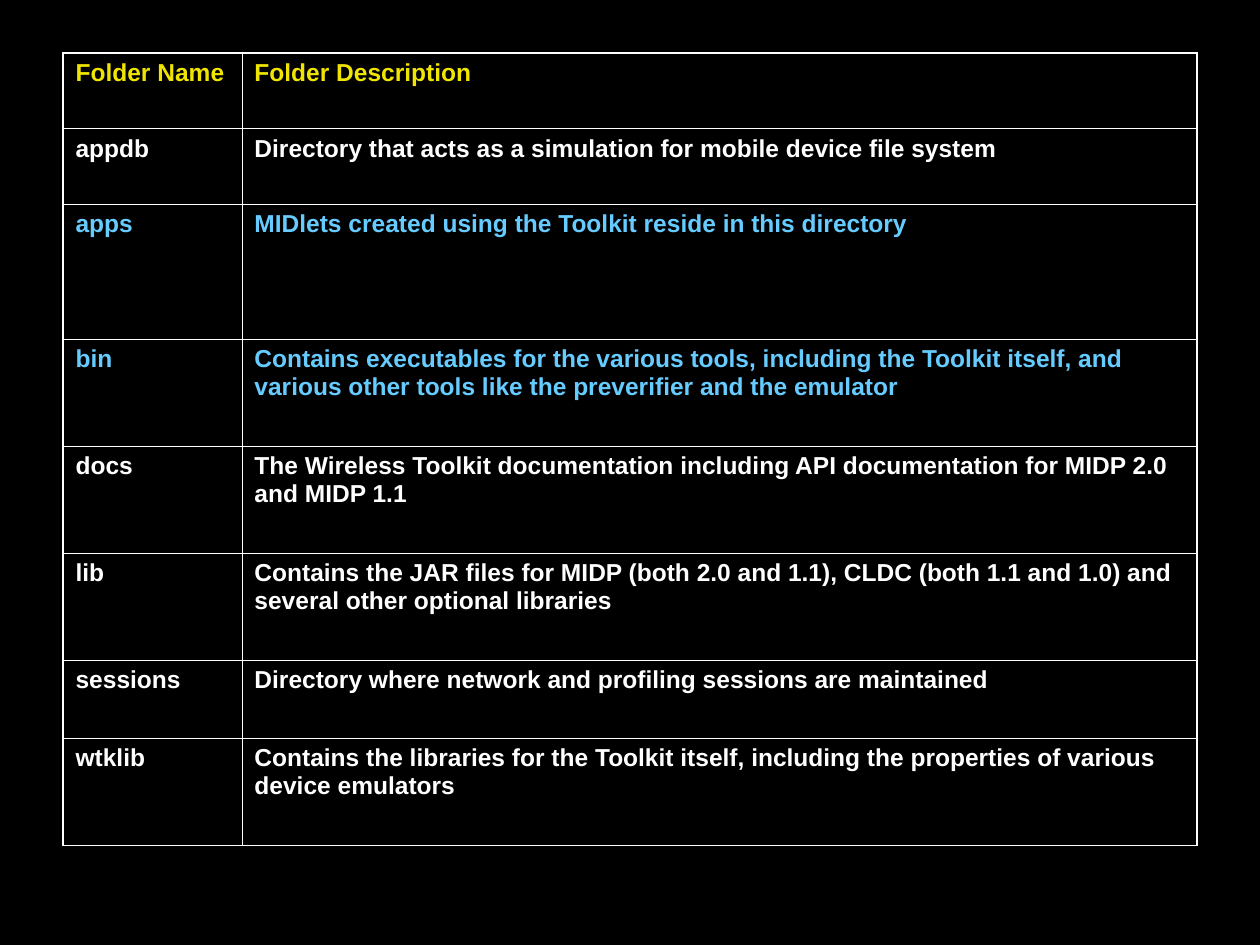
from lxml import etree
from pptx import Presentation
from pptx import util as u
from pptx.dml.color import RGBColor
from pptx.oxml.ns import qn

BLACK = RGBColor(0x00, 0x00, 0x00)
WHITE = RGBColor(0xFF, 0xFF, 0xFF)
YELLOW = RGBColor(0xF0, 0xE5, 0x00)
BLUE = RGBColor(0x66, 0xCC, 0xFF)
THICK, THIN = u.Pt(1.08), u.Pt(0.45)

# Folder name, description, colour, row height in inches
ROWS = [
    ("Folder Name", "Folder Description", YELLOW, 0.6),
    ("appdb", "Directory that acts as a simulation for mobile device file system",
     WHITE, 0.6),
    ("apps", "MIDlets created using the Toolkit reside in this directory",
     BLUE, 1.07),
    ("bin", "Contains executables for the various tools, including the Toolkit "
     "itself, and various other tools like the preverifier and the emulator",
     BLUE, 0.85),
    ("docs", "The Wireless Toolkit documentation including API documentation "
     "for MIDP 2.0 and MIDP 1.1", WHITE, 0.85),
    ("lib", "Contains the JAR files for MIDP (both 2.0 and 1.1), CLDC (both 1.1 "
     "and 1.0) and several other optional libraries", WHITE, 0.85),
    ("sessions", "Directory where network and profiling sessions are maintained",
     WHITE, 0.62),
    ("wtklib", "Contains the libraries for the Toolkit itself, including the "
     "properties of various device emulators", WHITE, 0.85),
]
COLS = [1.42, 7.58]


def add_edge(cell, side, width):
    """Draw one solid border; borders come before the fill in the cell."""
    props = cell._tc.get_or_add_tcPr()
    line = etree.SubElement(props, qn("a:ln" + side), w=str(int(width)))
    fill = etree.SubElement(line, qn("a:solidFill"))
    etree.SubElement(fill, qn("a:srgbClr"), val=str(WHITE))


# Slide and background
prs = Presentation()
prs.slide_width, prs.slide_height = u.Inches(10), u.Inches(7.5)
slide = prs.slides.add_slide(prs.slide_layouts[6])
slide.background.fill.solid()
slide.background.fill.fore_color.rgb = BLACK

# Table grid
high = sum(row[-1] for row in ROWS)
frame = slide.shapes.add_table(len(ROWS), len(COLS), u.Inches(0.5), u.Inches(0.42),
                               u.Inches(sum(COLS)), u.Inches(high))
table = frame.table
table.first_row = table.horz_banding = False
for col, wide in zip(table.columns, COLS):
    col.width = u.Inches(wide)

# Cells: thick lines round the outside, thin ones within
for r, (name, about, color, tall) in enumerate(ROWS):
    table.rows[r].height = u.Inches(tall)
    for c, words in enumerate((name, about)):
        cell = table.cell(r, c)
        outer = {"L": c == 0, "R": c == len(COLS) - 1,
                 "T": r == 0, "B": r == len(ROWS) - 1}
        for side, edge in outer.items():
            add_edge(cell, side, THICK if edge else THIN)
        cell.fill.background()
        cell.text_frame.text = words
        para = cell.text_frame.paragraphs[0]
        para.space_before = u.Pt(3.5)
        font = para.runs[0].font
        font.name, font.size, font.bold = "Arial", u.Pt(14), True
        font.color.rgb = color

prs.save("out.pptx")
